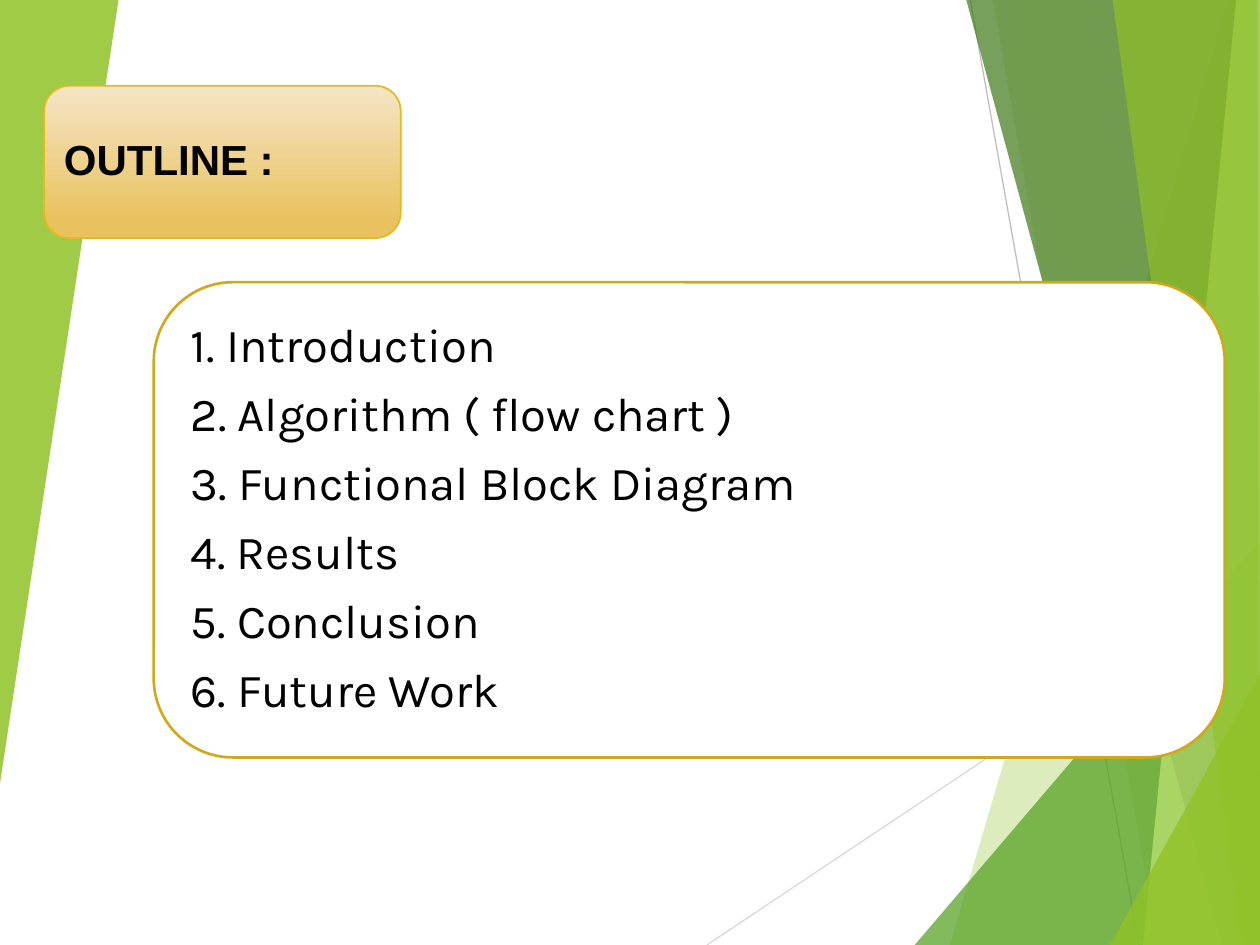
"""Build the outline slide with its faceted green border."""
import pptx
import pptx.dml.color
import pptx.enum.shapes
import pptx.enum.text
import pptx.oxml
import pptx.oxml.ns
import pptx.util
from pptx.util import Cm, Pt

WIDTH, HEIGHT = 25.4, 19.05

RAYS = [
    ((14.25, HEIGHT), (WIDTH, 11.61), "D9D9D9"),
    ((19.56, 0), (22.96, HEIGHT), "BFBFBF"),
]
FACETS = [
    ("90C226", 30, [(24.77, 0), (19.15, HEIGHT), (WIDTH, HEIGHT), (WIDTH, 0)]),
    ("90C226", 20, [(20.02, 0), (23.34, HEIGHT), (WIDTH, HEIGHT), (WIDTH, 0)]),
    ("54A021", 72, [(18.44, HEIGHT), (WIDTH, 10.9), (WIDTH, HEIGHT)]),
    ("3F7819", 70, [(19.48, 0), (24.64, HEIGHT), (WIDTH, HEIGHT), (WIDTH, 0)]),
    ("C0E474", 70, [(24.92, 0), (23.04, HEIGHT), (WIDTH, HEIGHT), (WIDTH, 0)]),
    ("90C226", 65, [(22.43, 0), (25.04, HEIGHT), (WIDTH, HEIGHT), (25.35, 0)]),
    ("90C226", 80, [(22.38, HEIGHT), (WIDTH, 13.59), (WIDTH, HEIGHT)]),
    ("90C226", 85, [(0, 0), (2.39, 0), (0, 15.8)]),
]
PANELS = [
    {
        "lines": ["OUTLINE :"],
        "place": (0.89, 1.73, 7.19, 3.07),
        "fill": [(0, "F5E5C5"), (0.88, "E9C260")],
        "border": ("E6B91E", 1),
        "inset": 0.25,
        "font": {"name": "Arial", "size": Pt(24), "bold": True},
    },
    {
        "lines": [
            "1. Introduction",
            "2. Algorithm ( flow chart )",
            "3. Functional Block Diagram",
            "4. Results",
            "5. Conclusion",
            "6. Future Work",
        ],
        "place": (3.1, 5.69, 21.59, 9.58),
        "fill": [(0, "FFFFFF")],
        "border": ("D1A81B", 1.5),
        "inset": 0.28,
        "font": {"name": "Karla", "size": Pt(27), "bold": False},
    },
]
PARAGRAPH = {
    "alignment": pptx.enum.text.PP_ALIGN.LEFT,
    "line_spacing": 0.9,
    "space_after": Pt(10.3),
}


def rgb(value):
    return pptx.dml.color.RGBColor.from_string(value)


def apply(target, values):
    for key, value in values.items():
        setattr(target, key, value)


def add_ray(slide, start, end, colour):
    ray = slide.shapes.add_connector(
        pptx.enum.shapes.MSO_CONNECTOR.STRAIGHT, *map(Cm, start + end))
    ray.line.color.rgb = rgb(colour)
    ray.line.width = Pt(0.75)
    pptx.oxml.ns.qn("a:effectLst")
    ray._element.spPr.append(pptx.oxml.parse_xml(
        f'<a:effectLst {pptx.oxml.ns.nsdecls("a")}/>'))


def add_facet(slide, colour, opacity, corners):
    first, *rest = [(Cm(x), Cm(y)) for x, y in corners]
    outline = slide.shapes.build_freeform(*first)
    outline.add_line_segments(rest, close=True)
    facet = outline.convert_to_shape()
    facet.shadow.inherit = False
    facet.line.fill.background()
    facet.fill.solid()
    facet.fill.fore_color.rgb = rgb(colour)
    tint = facet._element.spPr.find(".//" + pptx.oxml.ns.qn("a:srgbClr"))
    tint.append(pptx.oxml.parse_xml(
        f'<a:alpha {pptx.oxml.ns.nsdecls("a")} val="{opacity * 1000}"/>'))


def add_panel(slide, lines, place, fill, border, inset, font):
    panel = slide.shapes.add_shape(
        pptx.enum.shapes.MSO_SHAPE.ROUNDED_RECTANGLE, *map(Cm, place))
    panel.shadow.inherit = False
    if len(fill) == 1:
        panel.fill.solid()
        panel.fill.fore_color.rgb = rgb(fill[0][1])
    else:
        panel.fill.gradient()
        panel.fill.gradient_angle = 270
        for stop, (position, colour) in zip(panel.fill.gradient_stops, fill):
            stop.position = position
            stop.color.rgb = rgb(colour)
    panel.line.color.rgb = rgb(border[0])
    panel.line.width = Pt(border[1])
    frame = panel.text_frame
    apply(frame, {f"margin_{side}": Cm(inset)
                  for side in ("left", "top", "right", "bottom")})
    apply(frame, {"word_wrap": True,
                  "vertical_anchor": pptx.enum.text.MSO_ANCHOR.MIDDLE})
    frame.text = "\n".join(lines)
    for paragraph in frame.paragraphs:
        apply(paragraph, PARAGRAPH)
        for run in paragraph.runs:
            apply(run.font, font)
            run.font.color.rgb = rgb("000000")


def main():
    deck = pptx.Presentation()
    apply(deck, {"slide_width": Cm(WIDTH), "slide_height": Cm(HEIGHT)})
    slide = deck.slides.add_slide(deck.slide_layouts[6])
    slide.background.fill.solid()
    slide.background.fill.fore_color.rgb = rgb("FFFFFF")
    for ray in RAYS:
        add_ray(slide, *ray)
    for facet in FACETS:
        add_facet(slide, *facet)
    for panel in PANELS:
        add_panel(slide, **panel)
    deck.save("out.pptx")


if __name__ == "__main__":
    main()
